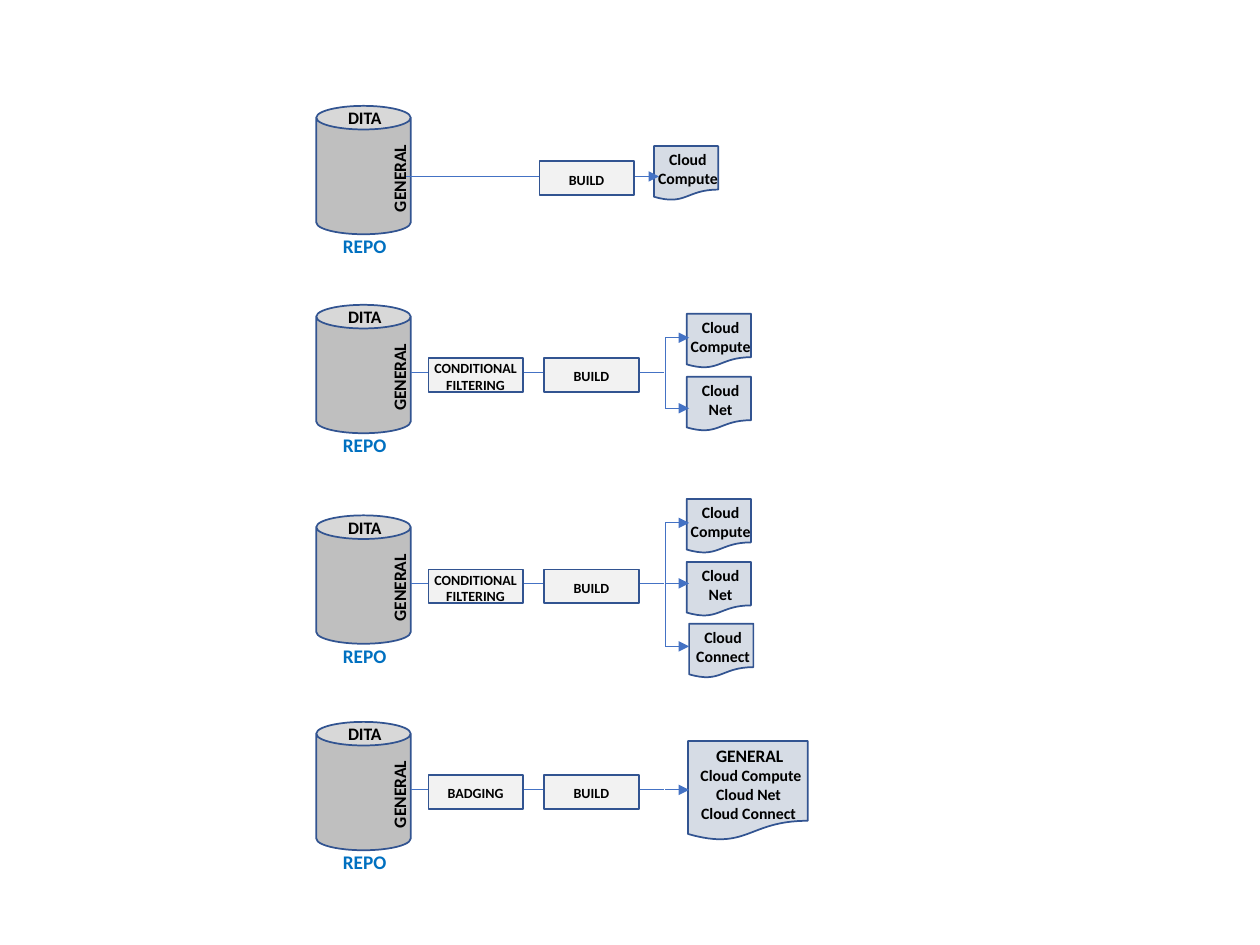
"""Draw four documentation build pipelines, from repository to published documents."""
from typing import NamedTuple

from lxml.etree import SubElement
from pptx import Presentation
from pptx.dml.color import RGBColor
from pptx.enum.shapes import MSO_CONNECTOR, MSO_SHAPE
from pptx.enum.text import MSO_ANCHOR, MSO_AUTO_SIZE, PP_ALIGN
from pptx.oxml.ns import qn
from pptx.util import Pt

FONT = "Calibri"
BLACK, REPO_BLUE = "000000", "0070C0"
OUTLINE, FLOW = "325491", "4472C4"
CAN_FILL, STEP_FILL, DOC_FILL = "BFBFBF", "F2F2F2", "D6DCE5"
CAN_X, CAN_W, CAN_H = 180.7, 54, 73.4
STEP_W, STEP_H = 54, 19.4
DOC_W, DOC_H = 36.7, 31
BRANCH_X, ARROW_X = 380.2, 393.8
FILTER_X, BUILD_X, DOC_X = 244.8, 311, 392.4


class Step(NamedTuple):
    x: float
    lines: list[str]


class Doc(NamedTuple):
    x: float
    y: float
    name: str


class Pipeline(NamedTuple):
    can_y: float
    flow_y: float
    step_y: float
    steps: list[Step]
    docs: list[Doc]
    arrows: list[float]


BUILD = Step(BUILD_X, ["BUILD"])
FILTERING = Step(FILTER_X, ["CONDITIONAL", "FILTERING"])
BADGING = Step(FILTER_X, ["BADGING"])

PIPELINES = [
    Pipeline(60.5, 100.8, 92.2, [Step(308.2, ["BUILD"])],
             [Doc(373.7, 83.5, "Compute")], []),
    Pipeline(174.2, 213.1, 204.5, [FILTERING, BUILD],
             [Doc(DOC_X, 179.3, "Compute"), Doc(DOC_X, 215.3, "Net")],
             [193, 233.3]),
    Pipeline(294.5, 333.4, 325.4, [FILTERING, BUILD],
             [Doc(DOC_X, 285.1, "Compute"), Doc(DOC_X, 321.1, "Net"),
              Doc(393.8, 356.4, "Connect")],
             [298.8, 333.4, 369.4]),
    Pipeline(412.5, 451.4, 442.8, [BADGING, BUILD], [], [451.4]),
]


def rgb(color: str) -> RGBColor:
    return RGBColor.from_string(color)


def add_box(s, kind: MSO_SHAPE, x: float, y: float, w: float, h: float, fill: str) -> None:
    sp = s.shapes.add_shape(kind, Pt(x), Pt(y), Pt(w), Pt(h))
    sp.shadow.inherit = False
    sp.fill.solid()
    sp.fill.fore_color.rgb = rgb(fill)
    sp.line.color.rgb = rgb(OUTLINE)
    sp.line.width = Pt(1)


def add_label(s, cx: float, cy: float, w: float, h: float, paragraphs: list[list[str]],
              size: float, color: str = BLACK, rotation: float = 0) -> None:
    sp = s.shapes.add_textbox(Pt(cx - w / 2), Pt(cy - h / 2), Pt(w), Pt(h))
    sp.rotation = rotation
    tf = sp.text_frame
    tf.word_wrap = False
    tf.auto_size = MSO_AUTO_SIZE.SHAPE_TO_FIT_TEXT
    tf.vertical_anchor = MSO_ANCHOR.TOP
    for i, lines in enumerate(paragraphs):
        p = tf.add_paragraph() if i else tf.paragraphs[0]
        p.alignment = PP_ALIGN.CENTER
        for j, text in enumerate(lines):
            if j:
                p.add_line_break()
            r = p.add_run()
            r.text = text
            r.font.name = FONT
            r.font.size = Pt(size)
            r.font.bold = True
            r.font.color.rgb = rgb(color)


def add_line(s, x1: float, y1: float, x2: float, y2: float, arrow: bool = False) -> None:
    c = s.shapes.add_connector(MSO_CONNECTOR.STRAIGHT, Pt(x1), Pt(y1), Pt(x2), Pt(y2))
    c.line.color.rgb = rgb(FLOW)
    c.line.width = Pt(0.5)
    if arrow:
        SubElement(c.line._get_or_add_ln(), qn("a:tailEnd"), type="triangle")
    SubElement(c._element.spPr, qn("a:effectLst"))


def add_repo(s, y: float) -> None:
    cx = CAN_X + CAN_W / 2 + 0.7
    add_box(s, MSO_SHAPE.CAN, CAN_X, y, CAN_W, CAN_H, CAN_FILL)
    add_label(s, cx, y + 7, 34.6, 19.4, [["DITA"]], 10)
    add_label(s, cx, y + 80.3, 39.6, 20.9, [["REPO"]], 11, REPO_BLUE)
    add_label(s, 228.2, y + 41.4, 53.3, 19.4, [["GENERAL"]], 10, rotation=270)


def add_doc(s, doc: Doc) -> None:
    add_box(s, MSO_SHAPE.FLOWCHART_DOCUMENT, doc.x, doc.y, DOC_W, DOC_H, DOC_FILL)
    add_label(s, doc.x + DOC_W / 2 + 1, doc.y + 13, 49, 28.8, [["Cloud"], [doc.name]], 9)


def add_step(s, step: Step, y: float) -> None:
    add_box(s, MSO_SHAPE.FLOWCHART_PROCESS, step.x, y, STEP_W, STEP_H, STEP_FILL)
    height = 17.3 if len(step.lines) == 1 else 26.6
    add_label(s, step.x + STEP_W / 2, y + STEP_H / 2 + 1, 62, height, [step.lines], 8)


def add_combined_doc(s) -> None:
    add_box(s, MSO_SHAPE.FLOWCHART_DOCUMENT, 393.1, 423.4, 68.4, 56.9, DOC_FILL)
    add_label(s, 428.4, 431.6, 53.3, 19.4, [["GENERAL"]], 10)
    names = [("Compute", 429.1, 443.2), ("Net", 427.7, 454), ("Connect", 427.7, 464.8)]
    for name, cx, cy in names:
        add_label(s, cx, cy, 73, 18, [[f"Cloud {name}"]], 9)


def add_pipeline(s, row: Pipeline) -> None:
    add_repo(s, row.can_y)
    for doc in row.docs:
        add_doc(s, doc)
    if row.arrows:
        add_line(s, 234.7, row.flow_y, 379.4, row.flow_y)
    else:
        add_line(s, 231.8, row.flow_y, 376.6, row.flow_y, arrow=True)
    if len(row.arrows) > 1:
        add_line(s, BRANCH_X, row.arrows[0], BRANCH_X, row.arrows[-1])
    for y in row.arrows:
        add_line(s, BRANCH_X, y, ARROW_X, y, arrow=True)
    for step in row.steps:
        add_step(s, step, row.step_y)


def main() -> None:
    prs = Presentation()
    prs.slide_width, prs.slide_height = Pt(720), Pt(540)
    s = prs.slides.add_slide(prs.slide_layouts[6])
    add_combined_doc(s)
    for row in PIPELINES:
        add_pipeline(s, row)
    prs.save("out.pptx")


if __name__ == "__main__":
    main()
